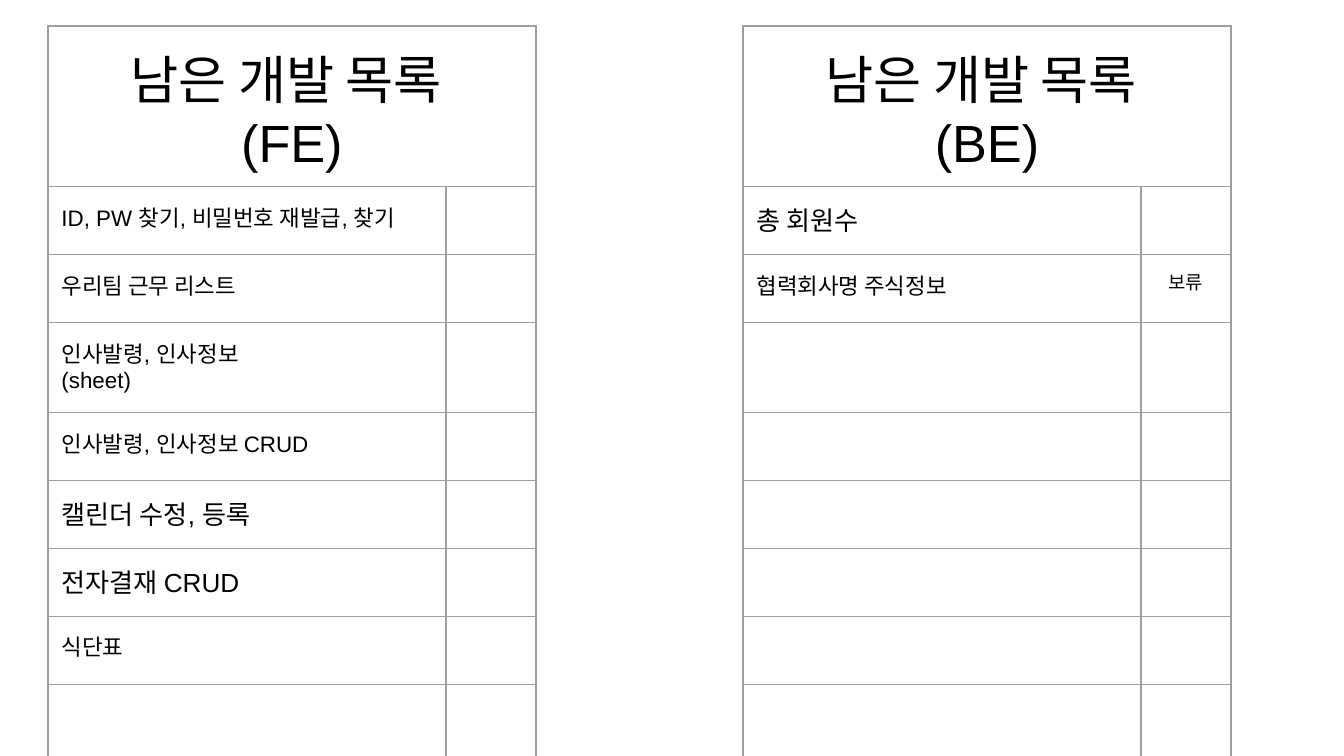
from lxml.etree import SubElement
from pptx import Presentation
from pptx.dml.color import RGBColor
from pptx.enum.text import PP_ALIGN
from pptx.oxml.ns import qn
from pptx.util import Inches, Pt

THEME = {
    "font": "Arial", "text": "000000", "border": "9E9E9E", "border_pt": 0.75,
    "title": 28, "large": 14, "item": 12, "note": 10,
}

# Each item: (task, size, note)
LISTS = [
    ("남은 개발 목록 \n(FE)", [
        ("ID, PW 찾기, 비밀번호 재발급, 찾기", "item", ""),
        ("우리팀 근무 리스트", "item", ""),
        ("인사발령, 인사정보\n(sheet)", "item", ""),
        ("인사발령, 인사정보 CRUD", "item", ""),
        ("캘린더 수정, 등록", "large", ""),
        ("전자결재 CRUD", "large", ""),
        ("식단표", "item", ""),
    ]),
    ("남은 개발 목록 \n(BE)", [
        ("총 회원수", "large", ""),
        ("협력회사명 주식정보", "item", "보류"),
    ]),
]

SLIDE_W, SLIDE_H = 1344, 756
LEFT, TOP, PITCH = 48, 26, 695
COLS = [398, 90]
ROWS = [155, 68, 68, 90, 68, 68, 68, 68, 75]
SCALE = Inches(10) / SLIDE_W


def px(n):
    return round(n * SCALE)


def set_borders(cell):
    tcPr = cell._tc.get_or_add_tcPr()
    for i, side in enumerate(("lnL", "lnR", "lnT", "lnB")):
        ln = tcPr.makeelement(qn(f"a:{side}"), {"w": str(Pt(THEME["border_pt"]))})
        fill = SubElement(ln, qn("a:solidFill"))
        SubElement(fill, qn("a:srgbClr"), val=THEME["border"])
        tcPr.insert(i, ln)


def write(cell, text, size, align=PP_ALIGN.LEFT):
    tf = cell.text_frame
    for i, line in enumerate(text.split("\n")):
        p = tf.paragraphs[0] if i == 0 else tf.add_paragraph()
        p.alignment = align
        r = p.add_run()
        r.text = line
        for name, value in {"name": THEME["font"], "size": Pt(THEME[size])}.items():
            setattr(r.font, name, value)
        r.font.color.rgb = RGBColor.from_string(THEME["text"])


def add_list(s, left, title, items):
    frame = s.shapes.add_table(len(ROWS), len(COLS), px(left), px(TOP),
                               px(sum(COLS)), px(sum(ROWS)))
    table = frame.table
    table.first_row = table.horz_banding = False
    for col, width in zip(table.columns, COLS):
        col.width = px(width)
    for row, height in zip(table.rows, ROWS):
        row.height = px(height)
    for cell in table.iter_cells():
        for side in ("left", "right", "top", "bottom"):
            setattr(cell, f"margin_{side}", Inches(0.1))
        cell.fill.background()
        set_borders(cell)

    header = table.cell(0, 0)
    header.merge(table.cell(0, 1))
    write(header, title, "title", PP_ALIGN.CENTER)
    for i, (task, size, note) in enumerate(items, 1):
        write(table.cell(i, 0), task, size)
        if note:
            write(table.cell(i, 1), note, "note", PP_ALIGN.CENTER)


prs = Presentation()
prs.slide_width, prs.slide_height = px(SLIDE_W), px(SLIDE_H)
s = prs.slides.add_slide(prs.slide_layouts[6])
for i, (title, items) in enumerate(LISTS):
    add_list(s, LEFT + i * PITCH, title, items)
prs.save("out.pptx")
